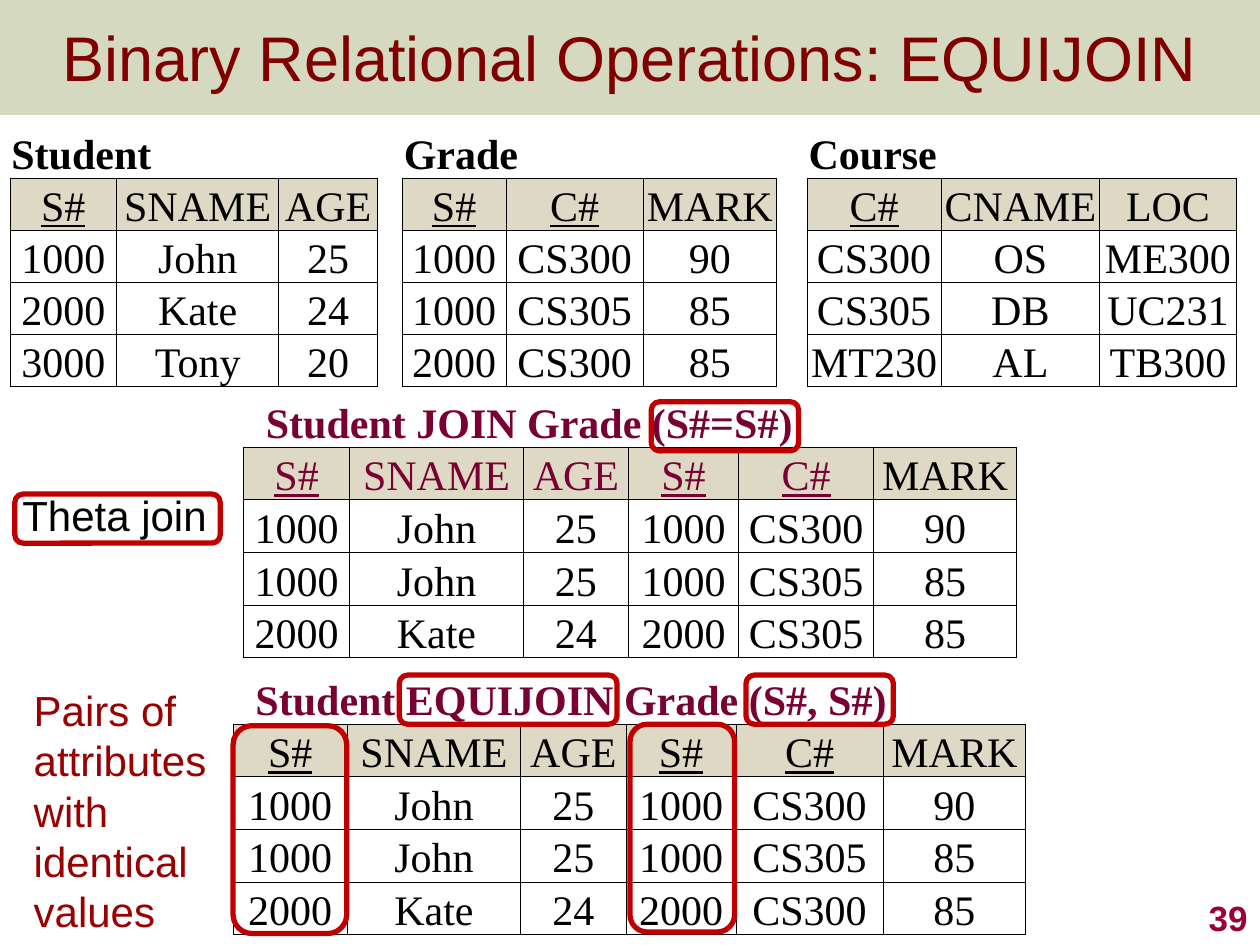
from lxml import etree
from pptx import Presentation
from pptx.dml.color import RGBColor
from pptx.enum import shapes, text
from pptx.oxml import ns
from pptx.util import Cm, Pt

COLORS = {"band": "76822E", "title": "800000", "number": "990033", "note": "990000",
          "header": "DDD9C4", "paper": "FFFFFF", "ink": "000000", "accent": "790033",
          "outline": "C00000"}
SERIF, SANS = "Times New Roman", "Arial"
TITLE = "Binary Relational Operations: EQUIJOIN"

JOINED_HEADER = ["S#", "SNAME", "AGE", "S#", "C#", "MARK"]
JOINED_ROWS = [["1000", "John", "25", "1000", "CS300", "90"],
               ["1000", "John", "25", "1000", "CS305", "85"]]

GRIDS = [
    {"left": 4.7, "top": 13.54, "caption_height": 1.06, "row_height": 1.06,
     "widths": [2.3, 3.5, 2.12, 2.22, 2.96, 2.88], "indent": 0.45,
     "caption_color": "accent", "accented": 0,
     "relations": [("Student EQUIJOIN Grade (S#, S#)", JOINED_HEADER,
                    JOINED_ROWS + [["2000", "Kate", "24", "2000", "CS300", "85"]])]},
    {"left": 4.91, "top": 8.05, "caption_height": 0.96, "row_height": 1.06,
     "widths": [2.14, 3.5, 2.12, 2.22, 2.72, 2.88], "indent": 0.45,
     "caption_color": "accent", "accented": 5,
     "relations": [("Student JOIN Grade (S#=S#)", JOINED_HEADER,
                    JOINED_ROWS + [["2000", "Kate", "24", "2000", "CS305", "85"]])]},
    {"left": 0.2, "top": 2.54, "caption_height": 1.05, "row_height": 1.05,
     "widths": [2.15, 3.27, 1.99, 0.5, 2.09, 2.77, 2.68, 0.62, 2.7, 3.2, 2.75],
     "indent": 0.03, "caption_color": "ink", "accented": 0,
     "relations": [
         ("Student", ["S#", "SNAME", "AGE"],
          [["1000", "John", "25"], ["2000", "Kate", "24"], ["3000", "Tony", "20"]]),
         ("Grade", ["S#", "C#", "MARK"],
          [["1000", "CS300", "90"], ["1000", "CS305", "85"], ["2000", "CS300", "85"]]),
         ("Course", ["C#", "CNAME", "LOC"],
          [["CS300", "OS", "ME300"], ["CS305", "DB", "UC231"], ["MT230", "AL", "TB300"]])]},
]

NOTES = [
    ("39", (20.12, 17.78, 5.28, 1.27), text.PP_ALIGN.RIGHT, text.MSO_ANCHOR.BOTTOM, True,
     {"size": Pt(20), "bold": True}, "number"),
    ("Theta join", (0.2, 9.75, 4.5, 1.27), text.PP_ALIGN.LEFT, text.MSO_ANCHOR.TOP, False,
     {"size": Pt(24)}, "ink"),
    ("Pairs of attributes with identical values", (0.43, 13.67, 4.01, 5.38),
     text.PP_ALIGN.LEFT, text.MSO_ANCHOR.TOP, True, {"size": Pt(24)}, "note"),
]

HIGHLIGHTS = [(12.7, 14.6, 2.11, 4.19), (4.7, 14.63, 2.29, 4.19),
              (0.3, 9.96, 4.14, 0.99), (13.13, 8.1, 2.97, 0.99),
              (8.05, 13.61, 4.39, 0.99), (15.04, 13.61, 2.97, 0.99)]


def rgb(name):
    return RGBColor.from_string(COLORS[name])


def write(frame, words, align, color, **format_values):
    para = frame.paragraphs[0]
    para.alignment = align
    span = para.add_run()
    span.text = words
    span.font.color.rgb = rgb(color)
    for key, value in format_values.items():
        setattr(span.font, key, value)


def style_cell(cell, fill, sides):
    cell.vertical_anchor = text.MSO_ANCHOR.BOTTOM
    for side, margin in {"left": 0.03, "right": 0.03, "top": 0.03, "bottom": 0}.items():
        setattr(cell, f"margin_{side}", Cm(margin))
    properties = cell._tc.get_or_add_tcPr()
    for side in "LRTB":
        line = etree.SubElement(properties, ns.qn(f"a:ln{side}"), w=str(Pt(0.5)))
        if side in sides:
            solid = etree.SubElement(line, ns.qn("a:solidFill"))
            etree.SubElement(solid, ns.qn("a:srgbClr"), val=COLORS["ink"])
        else:
            etree.SubElement(line, ns.qn("a:noFill"))
    cell.fill.solid()
    cell.fill.fore_color.rgb = rgb(fill)


def add_relation(table, first, relation, grid):
    caption, header, rows = relation
    last = first + len(header) - 1
    for column in range(first, last + 1):
        style_cell(table.cell(0, column), "paper", "B")
    title_cell = table.cell(0, first)
    title_cell.merge(table.cell(0, last))
    title_cell.margin_left = Cm(grid["indent"])
    write(title_cell.text_frame, caption, text.PP_ALIGN.LEFT, grid["caption_color"],
          name=SERIF, size=Pt(24), bold=True)
    for row, values in enumerate([header] + rows, 1):
        for offset, value in enumerate(values):
            cell = table.cell(row, first + offset)
            is_header = row == 1
            style_cell(cell, "header" if is_header else "paper", "LRTB")
            color = "accent" if is_header and offset < grid["accented"] else "ink"
            write(cell.text_frame, value, text.PP_ALIGN.CENTER, color, name=SERIF,
                  size=Pt(24), bold=False, underline=value.endswith("#"))
    return last + 1


def add_grid(page, grid):
    widths = grid["widths"]
    heights = [grid["caption_height"]] + [grid["row_height"]] * 4
    table = page.shapes.add_table(len(heights), len(widths), Cm(grid["left"]), Cm(grid["top"]),
                                  Cm(sum(widths)), Cm(sum(heights))).table
    table.first_row = table.horz_banding = False
    for column, width in zip(table.columns, widths):
        column.width = Cm(width)
    for row, height in zip(table.rows, heights):
        row.height = Cm(height)
    column = 0
    for relation in grid["relations"]:
        if column:
            for row in range(len(heights)):
                style_cell(table.cell(row, column), "paper", "LR" if row else "")
            column += 1
        column = add_relation(table, column, relation, grid)


def add_title(page):
    band = page.shapes.add_shape(shapes.MSO_SHAPE.RECTANGLE, 0, 0, Cm(25.4), Cm(2.32))
    band.shadow.inherit = False
    band.fill.solid()
    band.fill.fore_color.rgb = rgb("band")
    color = band.element.find(".//" + ns.qn("a:srgbClr"))
    etree.SubElement(color, ns.qn("a:alpha"), val="30000")
    band.line.fill.background()
    title = page.shapes.title
    title.element.addprevious(band.element)
    title.left, title.top, title.width, title.height = 0, 0, Cm(25.4), Cm(2.29)
    title.text_frame.vertical_anchor = text.MSO_ANCHOR.MIDDLE
    write(title.text_frame, TITLE, text.PP_ALIGN.CENTER, "title", name=SANS, size=Pt(36))


def main():
    deck = Presentation()
    deck.slide_width, deck.slide_height = Cm(25.4), Cm(19.05)
    page = deck.slides.add_slide(deck.slide_layouts[5])
    add_title(page)
    for grid in GRIDS:
        add_grid(page, grid)
    for words, place, align, anchor, wrap, format_values, color in NOTES:
        frame = page.shapes.add_textbox(*map(Cm, place)).text_frame
        frame.word_wrap = wrap
        frame.vertical_anchor = anchor
        write(frame, words, align, color, name=SANS, **format_values)
    for place in HIGHLIGHTS:
        box = page.shapes.add_shape(shapes.MSO_SHAPE.ROUNDED_RECTANGLE, *map(Cm, place))
        box.shadow.inherit = False
        box.fill.background()
        box.line.color.rgb = rgb("outline")
        box.line.width = Pt(3)
    deck.save("out.pptx")


if __name__ == "__main__":
    main()
